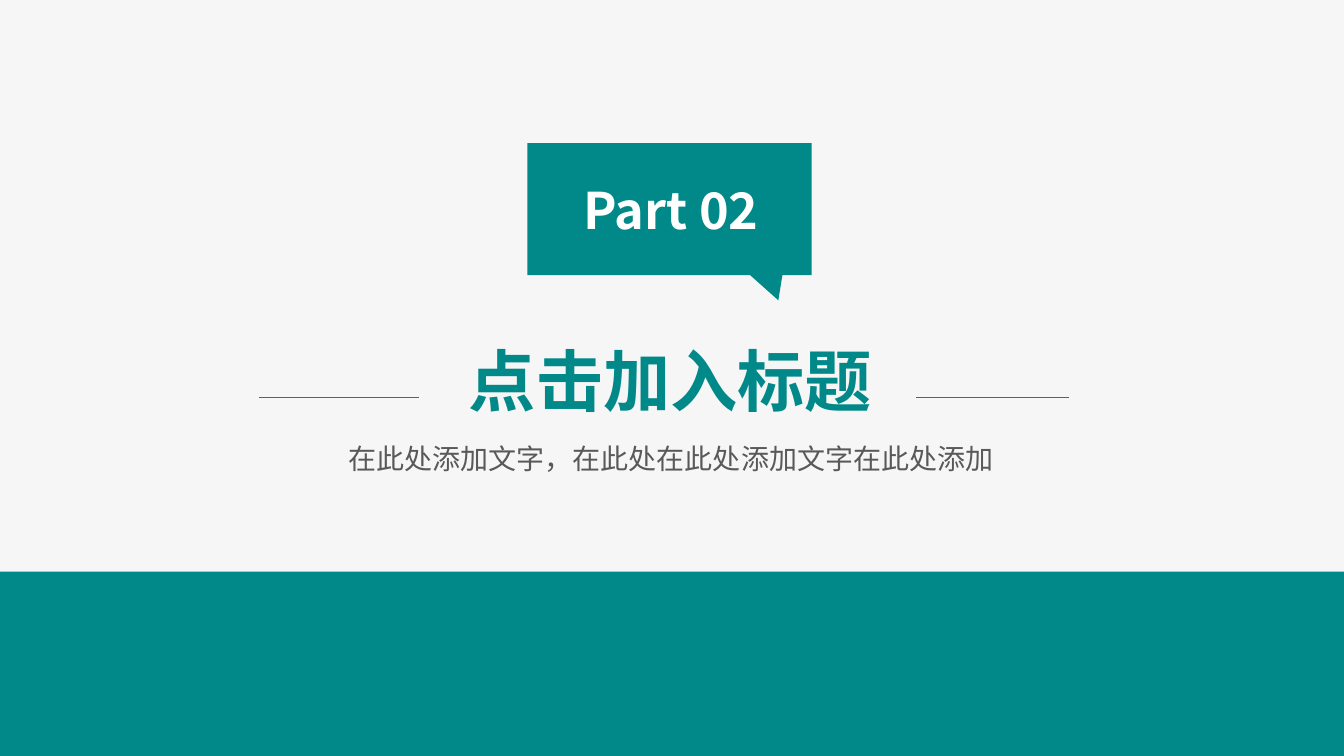
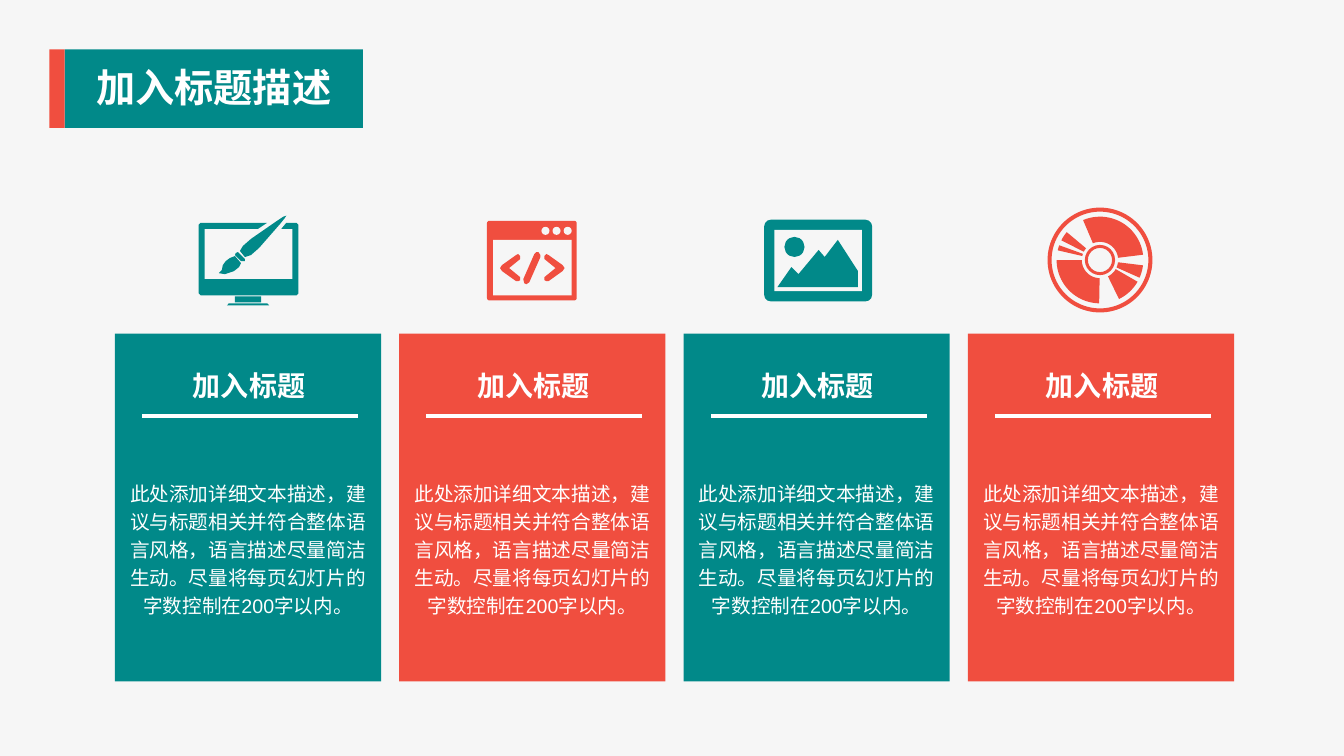
from math import cos, radians, sin

from lxml.etree import SubElement
from pptx import Presentation
from pptx.dml.color import RGBColor
from pptx.enum.shapes import MSO_CONNECTOR, MSO_SHAPE
from pptx.enum.text import MSO_ANCHOR, MSO_AUTO_SIZE, PP_ALIGN
from pptx.oxml.ns import qn
from pptx.util import Inches, Pt

TEAL, CORAL, PAPER = "018989", "F04E3F", "F6F6F6"
WHITE, GREY = "FFFFFF", "595959"
CJK_FONT = "Noto Sans CJK SC"
TITLE_FORMAT = {"name": CJK_FONT, "bold": True}
BODY_FORMAT = {"name": "Arial", "bold": False}

CARD_LEFT, CARD_TOP, CARD_WIDTH, CARD_HEIGHT = 1.14, 3.31, 2.64, 3.45
CARD_PITCH = 2.82
CARD_TITLE = "加入标题"
CARD_BODY = (
    "此处添加详细文本描述，建议与标题相关并符合整体语言风格，"
    "语言描述尽量简洁生动。尽量将每页幻灯片的字数控制在200字以内。"
)

BUBBLE = [(5.23, 1.42), (8.05, 1.42), (8.05, 2.73), (7.76, 2.73),
          (7.72, 2.98), (7.44, 2.73), (5.23, 2.73)]
MONITOR = [(2.65, 2.21), (1.99, 2.21), (1.97, 2.23), (1.97, 2.91),
           (1.99, 2.93), (2.94, 2.93), (2.96, 2.91), (2.96, 2.23),
           (2.94, 2.21), (2.84, 2.21), (2.79, 2.27), (2.9, 2.27),
           (2.9, 2.77), (2.03, 2.77), (2.03, 2.27), (2.56, 2.27)]
MONITOR_FOOT = [(2.27, 3.01), (2.65, 3.01), (2.67, 3.03), (2.25, 3.03)]
BRUSH_TIP = [(2.17, 2.71), (2.2, 2.68), (2.21, 2.63), (2.24, 2.59),
             (2.28, 2.56), (2.33, 2.54), (2.39, 2.61), (2.37, 2.65),
             (2.32, 2.69), (2.23, 2.72)]
BRUSH_FERRULE = [(2.36, 2.5), (2.34, 2.51), (2.33, 2.53), (2.39, 2.59),
                 (2.41, 2.59), (2.43, 2.59), (2.43, 2.57)]
BRUSH_HANDLE = [(2.38, 2.49), (2.41, 2.44), (2.49, 2.37), (2.75, 2.19),
                (2.81, 2.15), (2.84, 2.14), (2.82, 2.17), (2.78, 2.22),
                (2.57, 2.46), (2.49, 2.53), (2.43, 2.55)]
CHEVRON = [(4.96, 2.66), (4.98, 2.63), (5.12, 2.53), (5.14, 2.52),
           (5.16, 2.54), (5.16, 2.57), (5.05, 2.66), (5.16, 2.75),
           (5.16, 2.78), (5.14, 2.79), (5.12, 2.79), (4.98, 2.69)]
CODE_AXIS = 5.28
SLASH = [(5.22, 2.82), (5.2, 2.81), (5.19, 2.77), (5.3, 2.52), (5.32, 2.5),
         (5.34, 2.5), (5.36, 2.53), (5.36, 2.55), (5.25, 2.8)]
MOUNTAINS = [(8.51, 2.69), (8.31, 2.38), (8.18, 2.55), (8.12, 2.48),
             (7.92, 2.72), (7.85, 2.65), (7.71, 2.85), (8.51, 2.85)]
DISC_CENTER = (10.91, 2.58)
DISC_SECTORS = [(-113, -7), (7, 24), (30, 64), (91, 180), (193, 200), (207, 220)]


def color(value):
    return RGBColor.from_string(value)


def box(left, top, width, height):
    return [Inches(value) for value in (left, top, width, height)]


def paint(shape, fill):
    shape.shadow.inherit = False
    shape.fill.solid()
    shape.fill.fore_color.rgb = color(fill)
    shape.line.fill.background()
    return shape


def add_preset(shapes, preset, area, fill, adjustment=None):
    shape = shapes.add_shape(preset, *box(*area))
    if adjustment is not None:
        shape.adjustments[0] = adjustment
    return paint(shape, fill)


def add_outline(shapes, points, fill):
    corners = [(Inches(x), Inches(y)) for x, y in points]
    builder = shapes.build_freeform(*corners[0])
    builder.add_line_segments(corners[1:], close=True)
    return paint(builder.convert_to_shape(), fill)


def add_rule(shapes, left, top, width, stroke, points):
    ends = [Inches(value) for value in (left, top, left + width, top)]
    rule = shapes.add_connector(MSO_CONNECTOR.STRAIGHT, *ends)
    rule.line.color.rgb = color(stroke)
    rule.line.width = Pt(points)
    SubElement(rule._element.spPr, qn("a:effectLst"))


def write(holder, text, size, ink, font_format, insets=(0, 0, 0, 0),
          anchor=MSO_ANCHOR.MIDDLE, spacing=1.0):
    frame = holder.text_frame
    frame.text = text
    left, top, right, bottom = box(*insets)
    frame_format = {"word_wrap": True, "auto_size": MSO_AUTO_SIZE.NONE,
                    "vertical_anchor": anchor, "margin_left": left,
                    "margin_top": top, "margin_right": right,
                    "margin_bottom": bottom}
    paragraph = frame.paragraphs[0]
    paragraph_format = {"alignment": PP_ALIGN.CENTER, "line_spacing": spacing,
                        "space_before": Pt(0)}
    run = paragraph.runs[0]
    run.font.color.rgb = color(ink)
    for target, values in ((frame, frame_format), (paragraph, paragraph_format),
                           (run.font, {"size": Pt(size), **font_format})):
        for key, value in values.items():
            setattr(target, key, value)
    SubElement(run._r.get_or_add_rPr(), qn("a:ea"), typeface=CJK_FONT)


def place(holder, area):
    holder.left, holder.top, holder.width, holder.height = box(*area)
    return holder


def add_text(shapes, area, *args, **kwargs):
    write(shapes.add_textbox(*box(*area)), *args, **kwargs)


def draw_monitor(shapes, fill):
    for part in (MONITOR, MONITOR_FOOT, BRUSH_TIP, BRUSH_FERRULE, BRUSH_HANDLE):
        add_outline(shapes, part, fill)
    add_preset(shapes, MSO_SHAPE.RECTANGLE, (2.33, 2.94, 0.26, 0.06), fill)


def draw_code_window(shapes, fill):
    add_preset(shapes, MSO_SHAPE.ROUNDED_RECTANGLE, (4.83, 2.19, 0.89, 0.79), fill, 0.03)
    add_preset(shapes, MSO_SHAPE.RECTANGLE, (4.89, 2.38, 0.78, 0.55), PAPER)
    for index in range(3):
        add_preset(shapes, MSO_SHAPE.OVAL, (5.37 + 0.11 * index, 2.25, 0.08, 0.08), PAPER)
    mirrored = [(2 * CODE_AXIS - x, y) for x, y in CHEVRON]
    for part in (CHEVRON, SLASH, mirrored):
        add_outline(shapes, part, fill)


def draw_landscape(shapes, fill):
    add_preset(shapes, MSO_SHAPE.ROUNDED_RECTANGLE, (7.58, 2.18, 1.07, 0.81), fill, 0.08)
    add_preset(shapes, MSO_SHAPE.RECTANGLE, (7.68, 2.28, 0.87, 0.61), PAPER)
    add_preset(shapes, MSO_SHAPE.OVAL, (7.78, 2.35, 0.2, 0.2), fill)
    add_outline(shapes, MOUNTAINS, fill)


def arc(radius, start, end, steps=24):
    angles = [radians(start + (end - start) * step / steps) for step in range(steps + 1)]
    x, y = DISC_CENTER
    return [(x + radius * cos(angle), y + radius * sin(angle)) for angle in angles]


def draw_disc(shapes, fill):
    x, y = DISC_CENTER
    for radius, thickness in ((0.52, 0.04), (0.15, 0.03)):
        ring = (x - radius, y - radius, 2 * radius, 2 * radius)
        add_preset(shapes, MSO_SHAPE.DONUT, ring, fill, thickness / (2 * radius))
    for start, end in DISC_SECTORS:
        add_outline(shapes, arc(0.43, start, end) + arc(0.18, end, start), fill)


def add_card(shapes, left, fill):
    add_preset(shapes, MSO_SHAPE.RECTANGLE, (left, CARD_TOP, CARD_WIDTH, CARD_HEIGHT), fill)
    add_rule(shapes, left + 0.27, CARD_TOP + 0.82, 2.14, WHITE, 3)
    add_text(shapes, (left + 0.06, CARD_TOP + 0.34, CARD_WIDTH, 0.34), CARD_TITLE,
             20, WHITE, {**BODY_FORMAT, "bold": True}, (0, 0, 0.1, 0))
    add_text(shapes, (left, CARD_TOP + 1.42, CARD_WIDTH, 1.41), CARD_BODY,
             14, WHITE, BODY_FORMAT, (0.1, 0, 0.1, 0), MSO_ANCHOR.TOP, 1.2)


def build_section(deck):
    slide = deck.slides.add_slide(deck.slide_layouts[0])
    shapes = slide.shapes
    write(place(shapes.title, (3.84, 3.31, 5.62, 0.91)), "点击加入标题",
          48, TEAL, TITLE_FORMAT)
    write(place(slide.placeholders[1], (1.42, 4.33, 10.47, 0.44)),
          "在此处添加文字，在此处在此处添加文字在此处添加",
          20, GREY, {**TITLE_FORMAT, "bold": False})
    for left, width in ((2.57, 1.59), (9.09, 1.51)):
        add_rule(shapes, left, 3.94, width, TEAL, 0.75)
    write(add_outline(shapes, BUBBLE, TEAL), "Part 02", 36, WHITE, TITLE_FORMAT,
          (0.03, 0, 0, 0.25))
    add_preset(shapes, MSO_SHAPE.RECTANGLE, (0, 5.67, 13.33, 1.83), TEAL)


def build_cards(deck):
    slide = deck.slides.add_slide(deck.slide_layouts[5])
    shapes = slide.shapes
    heading = paint(place(shapes.title, (0.64, 0.49, 2.96, 0.78)), TEAL)
    write(heading, "加入标题描述", 28, WHITE, TITLE_FORMAT, (0, 0, 0, 0.03))
    add_preset(shapes, MSO_SHAPE.RECTANGLE, (0.49, 0.49, 0.15, 0.78), CORAL)
    icons = (draw_monitor, draw_code_window, draw_landscape, draw_disc)
    for index, draw_icon in enumerate(icons):
        fill = CORAL if index % 2 else TEAL
        add_card(shapes, CARD_LEFT + CARD_PITCH * index, fill)
        draw_icon(shapes.add_group_shape().shapes, fill)


def main():
    deck = Presentation()
    deck.slide_width, deck.slide_height = Inches(13.33), Inches(7.5)
    backdrop = deck.slide_master.background.fill
    backdrop.solid()
    backdrop.fore_color.rgb = color(PAPER)
    build_section(deck)
    build_cards(deck)
    deck.save("out.pptx")


if __name__ == "__main__":
    main()
